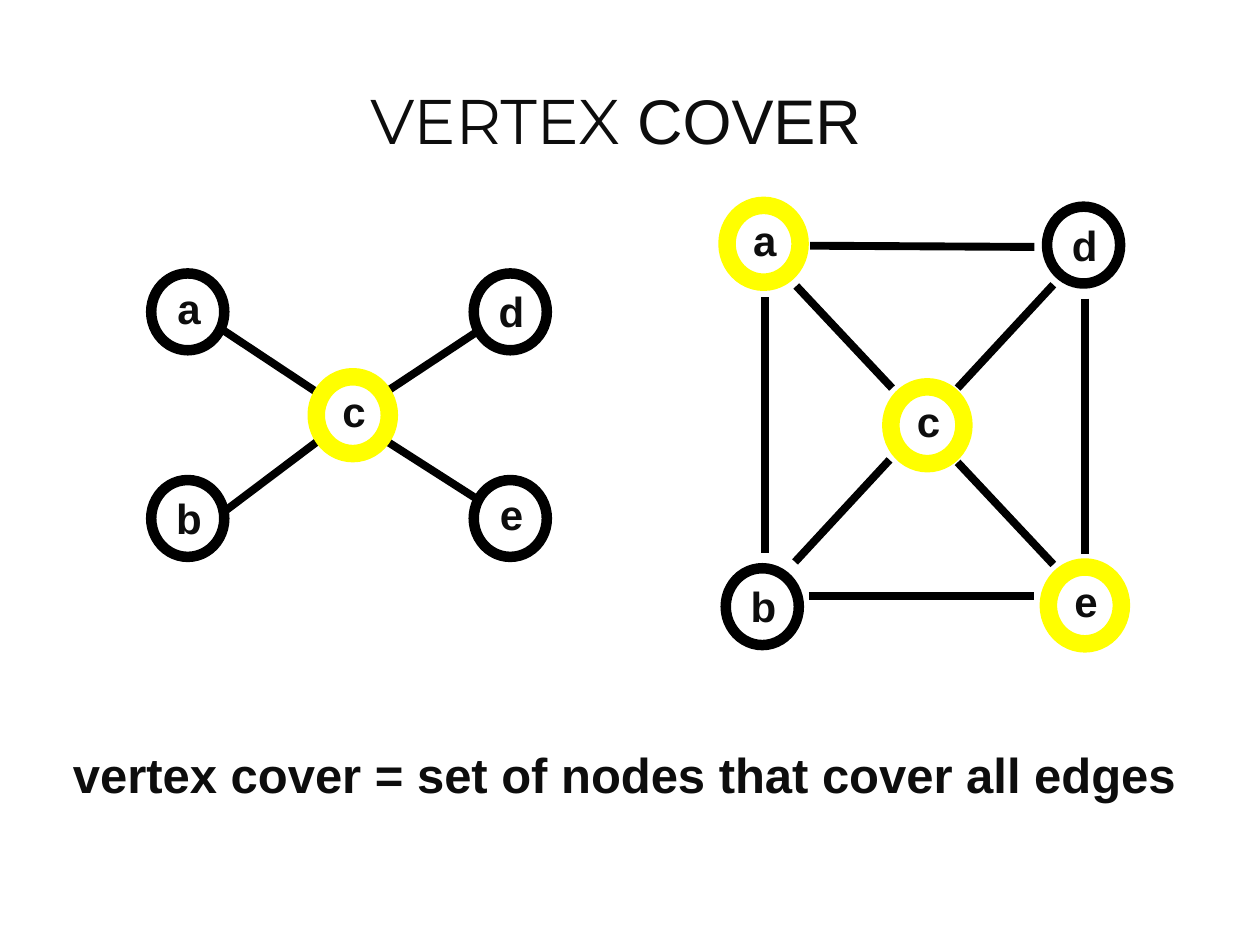
from lxml.etree import SubElement
from pptx import Presentation
from pptx.dml.color import RGBColor as RGB
from pptx.enum.shapes import MSO_CONNECTOR as Link, MSO_SHAPE as Shape
from pptx.enum.text import MSO_ANCHOR as Anchor, MSO_AUTO_SIZE as Fit, PP_ALIGN as Align
from pptx.oxml.ns import qn
from pptx.util import Inches, Pt

COLORS = {"text": "0D0D0D", "edge": "000000", "cover": "FFFF00"}
COLS, ROWS = 100, 75
NODE = (5.8, 6.1)
TALL = "bd"

# Each graph: node positions, covering nodes, edges as (x1, y1, x2, y2).
GRAPHS = [
    {"nodes": {"a": (57.7, 16.3), "b": (57.6, 45.1), "c": (70.7, 30.7),
               "d": (83.1, 16.4), "e": (83.2, 45)},
     "cover": "ace",
     "edges": [(60.7, 23.6, 60.7, 43.9), (86.1, 23.7, 86.1, 44),
               (64.3, 19.5, 82.1, 19.6), (64.2, 47.3, 82.1, 47.3),
               (63.2, 22.7, 70.8, 30.8), (76, 36.7, 83.6, 44.8),
               (70.6, 36.5, 63.1, 44.6), (83.6, 22.6, 76, 30.8)]},
    {"nodes": {"a": (12, 21.7), "b": (12, 38.1), "c": (25.1, 29.9),
               "d": (37.6, 21.7), "e": (37.6, 38.1)},
     "cover": "c",
     "edges": [(17.7, 26.2, 25.4, 31.3), (30.5, 34.9, 37.7, 39.5),
               (25.5, 34.8, 17.8, 40.6), (37.9, 26.3, 30.2, 31.4)]},
]


class Board:
    """Draws on one slide, with lengths in grid columns and rows."""

    def __init__(self):
        self.deck = Presentation()
        self.deck.slide_width, self.deck.slide_height = Inches(10), Inches(7.5)
        self.slide = self.deck.slides.add_slide(self.deck.slide_layouts[5])
        self.shapes = self.slide.shapes

    def grid(self, *spots):
        """Turn alternating columns and rows into slide lengths."""
        sizes = (self.deck.slide_width / COLS, self.deck.slide_height / ROWS)
        return [round(n * sizes[i % 2]) for i, n in enumerate(spots)]

    def letter(self, shape, runs, size, bold=False, align=Align.LEFT):
        """Fill a shape with runs given as (text, font) pairs."""
        frame = shape.text_frame
        for key, val in {"word_wrap": True, "auto_size": Fit.NONE,
                         "vertical_anchor": Anchor.TOP}.items():
            setattr(frame, key, val)
        line = frame.paragraphs[0]
        line.alignment = align
        for text, face in runs:
            run = line.add_run()
            run.text = text
            for key, val in {"name": face, "size": Pt(size), "bold": bold}.items():
                setattr(run.font, key, val)
            run.font.color.rgb = RGB.from_string(COLORS["text"])

    def title(self, box, runs, size):
        shape = self.shapes.title
        for key, val in zip(("left", "top", "width", "height"), self.grid(*box)):
            setattr(shape, key, val)
        self.letter(shape, runs, size)

    def text(self, box, words, size, align=Align.LEFT):
        shape = self.shapes.add_textbox(*self.grid(*box))
        self.letter(shape, [(words, "Arial")], size, True, align)

    def stroke(self, shape, color, width):
        shape.line.color.rgb = RGB.from_string(COLORS[color])
        shape.line.width = Pt(width)

    def edge(self, ends):
        line = self.shapes.add_connector(Link.STRAIGHT, *self.grid(*ends))
        self.stroke(line, "edge", 4.5)
        SubElement(line._element.spPr, qn("a:effectLst"))

    def node(self, name, x, y, cover):
        ring = self.shapes.add_shape(Shape.OVAL, *self.grid(x, y, *NODE))
        ring.shadow.inherit = False
        ring.fill.background()
        self.stroke(ring, *(("cover", 10) if cover else ("edge", 6)))
        drop = 0.5 if name in TALL else 0.2
        self.text((x + 1, y + drop, 4, 5), name, 24, Align.CENTER)

    def graph(self, nodes, cover, edges):
        for ends in edges:
            self.edge(ends)
        for name, (x, y) in nodes.items():
            self.node(name, x, y, name in cover)


def main():
    board = Board()
    board.title((28.4, 6, 43.7, 7),
                [("VERTEX", "Montserrat"), (" COVER", "Arial")], 36)
    for graph in GRAPHS:
        board.graph(**graph)
    board.text((4.8, 58.6, 91.8, 5.7),
               "vertex cover = set of nodes that cover all edges", 28)
    board.deck.save("out.pptx")


if __name__ == "__main__":
    main()
